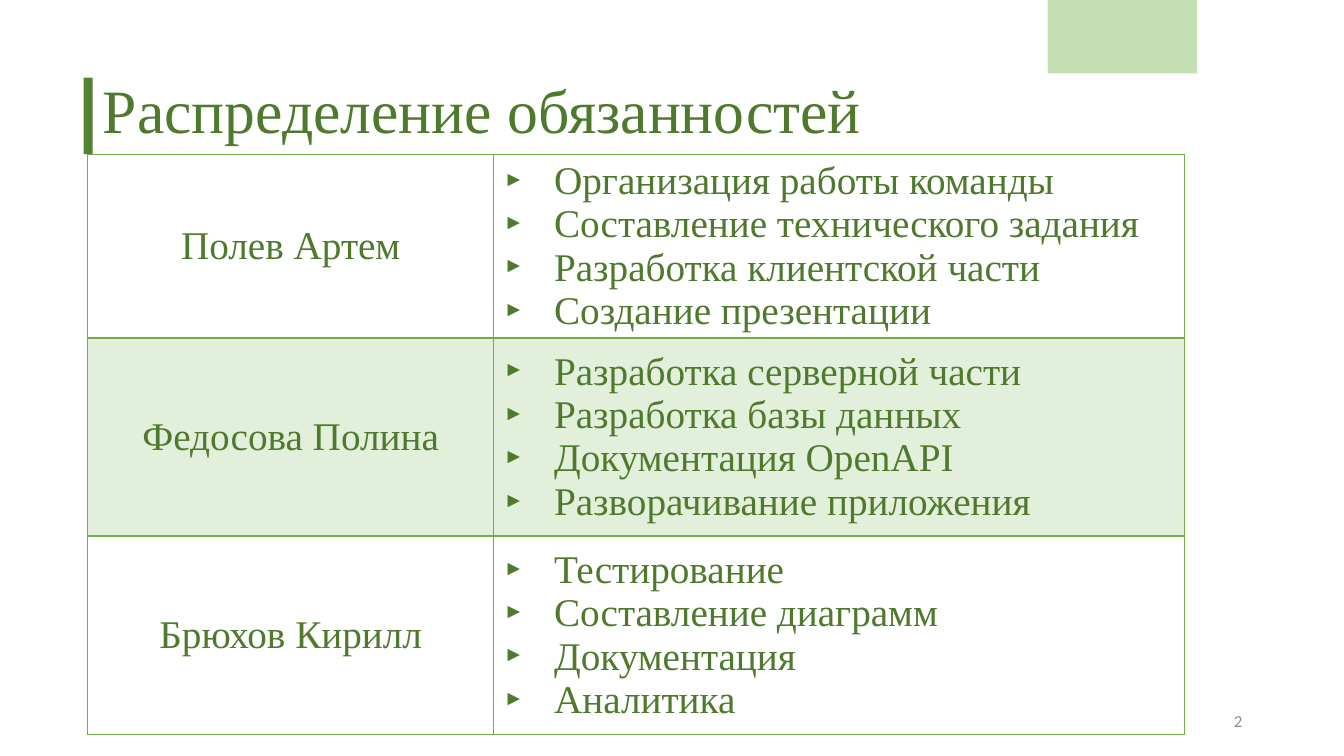
from lxml import etree
from pptx import Presentation
from pptx.dml.color import RGBColor
from pptx.enum.shapes import MSO_SHAPE as SHAPE
from pptx.enum.text import MSO_ANCHOR as ANCHOR, MSO_AUTO_SIZE as AUTO, PP_ALIGN as ALIGN
from pptx.oxml.ns import qn
from pptx.util import Emu, Inches, Pt

COLORS = {"text": "4F7A2E", "bar": "548235", "tab": "C5E0B4", "border": "70AD47",
          "band": "E2EFDA", "number": "8C8C8C"}
SERIF = "Times New Roman"
DUTIES = [
    ("Полев Артем", ["Организация работы команды", "Составление технического задания",
                     "Разработка клиентской части", "Создание презентации"]),
    ("Федосова Полина", ["Разработка серверной части", "Разработка базы данных",
                         "Документация OpenAPI", "Разворачивание приложения"]),
    ("Брюхов Кирилл", ["Тестирование", "Составление диаграмм", "Документация", "Аналитика"]),
]
COLUMN_SHARES = (0.37, 0.63)
ROW_SHARES = (0.316, 0.342, 0.342)


def inches(*lengths):
    return [Inches(n) for n in lengths]


def rgb(name):
    return RGBColor.from_string(COLORS[name])


def style(p, size, color="text", font=SERIF, align=ALIGN.LEFT):
    p.alignment = align
    for r in p.runs:
        r.font.size, r.font.name = Pt(size), font
        r.font.color.rgb = rgb(color)


def add_block(slide, box, color):
    s = slide.shapes.add_shape(SHAPE.RECTANGLE, *box)
    s.shadow.inherit = False
    s.fill.solid()
    s.fill.fore_color.rgb = rgb(color)
    s.line.fill.background()


def add_title(slide, box, text):
    title = slide.shapes.title
    title.left, title.top, title.width, title.height = box
    tf = title.text_frame
    tf.text, tf.word_wrap = text, True
    tf.auto_size, tf.vertical_anchor = AUTO.NONE, ANCHOR.MIDDLE
    tf.paragraphs[0].line_spacing = 0.9
    style(tf.paragraphs[0], 44)


def add_bullet(p):
    pPr = p._p.get_or_add_pPr()
    pPr.set("marL", str(Inches(0.5)))
    pPr.set("indent", str(-Inches(0.5)))
    etree.SubElement(pPr, qn("a:buFont")).set("typeface", SERIF)
    etree.SubElement(pPr, qn("a:buChar")).set("char", "‣")


def set_borders(cell, top, bottom):
    """Draw all four sides; top and bottom are widths in points."""
    tcPr = cell._tc.get_or_add_tcPr()
    sides = {"a:lnL": 1, "a:lnR": 1, "a:lnT": top, "a:lnB": bottom}
    for i, (tag, width) in enumerate(sides.items()):
        ln = etree.Element(qn(tag), w=str(Pt(width)))
        fill = etree.SubElement(ln, qn("a:solidFill"))
        etree.SubElement(fill, qn("a:srgbClr")).set("val", COLORS["border"])
        tcPr.insert(i, ln)


def add_duties(slide, box):
    width, height = box[2:]
    table = slide.shapes.add_table(len(DUTIES), 2, *box).table
    table.first_row = table.horz_banding = False
    for column, share in zip(table.columns, COLUMN_SHARES):
        column.width = Emu(int(width * share))
    for i, (name, tasks) in enumerate(DUTIES):
        table.rows[i].height = Emu(int(height * ROW_SHARES[i]))
        person, duties = table.cell(i, 0), table.cell(i, 1)
        person.text, duties.text = name, "\n".join(tasks)
        style(person.text_frame.paragraphs[0], 28, align=ALIGN.CENTER)
        for p in duties.text_frame.paragraphs:
            style(p, 28)
            add_bullet(p)
        for cell in (person, duties):
            cell.vertical_anchor = ANCHOR.MIDDLE
            if i % 2:
                cell.fill.solid()
                cell.fill.fore_color.rgb = rgb("band")
            else:
                cell.fill.background()
            set_borders(cell, top=2 if i == 1 else 1, bottom=2 if i == 0 else 1)


def add_number(slide, box, number):
    tf = slide.shapes.add_textbox(*box).text_frame
    tf.text, tf.word_wrap, tf.vertical_anchor = number, True, ANCHOR.MIDDLE
    style(tf.paragraphs[0], 12, "number", "Calibri", ALIGN.RIGHT)


def main():
    prs = Presentation()
    prs.slide_width, prs.slide_height = inches(13.33, 7.5)
    slide = prs.slides.add_slide(prs.slide_layouts[5])
    add_title(slide, inches(0.92, 0.4, 11.79, 1.45), "Распределение обязанностей")
    add_duties(slide, inches(0.87, 1.53, 10.88, 5.75))
    add_block(slide, inches(0.83, 0.77, 0.09, 0.76), "bar")
    add_block(slide, inches(10.39, 0, 1.48, 0.73), "tab")
    add_number(slide, inches(9.42, 6.95, 3, 0.4), "2")
    prs.save("out.pptx")


if __name__ == "__main__":
    main()
